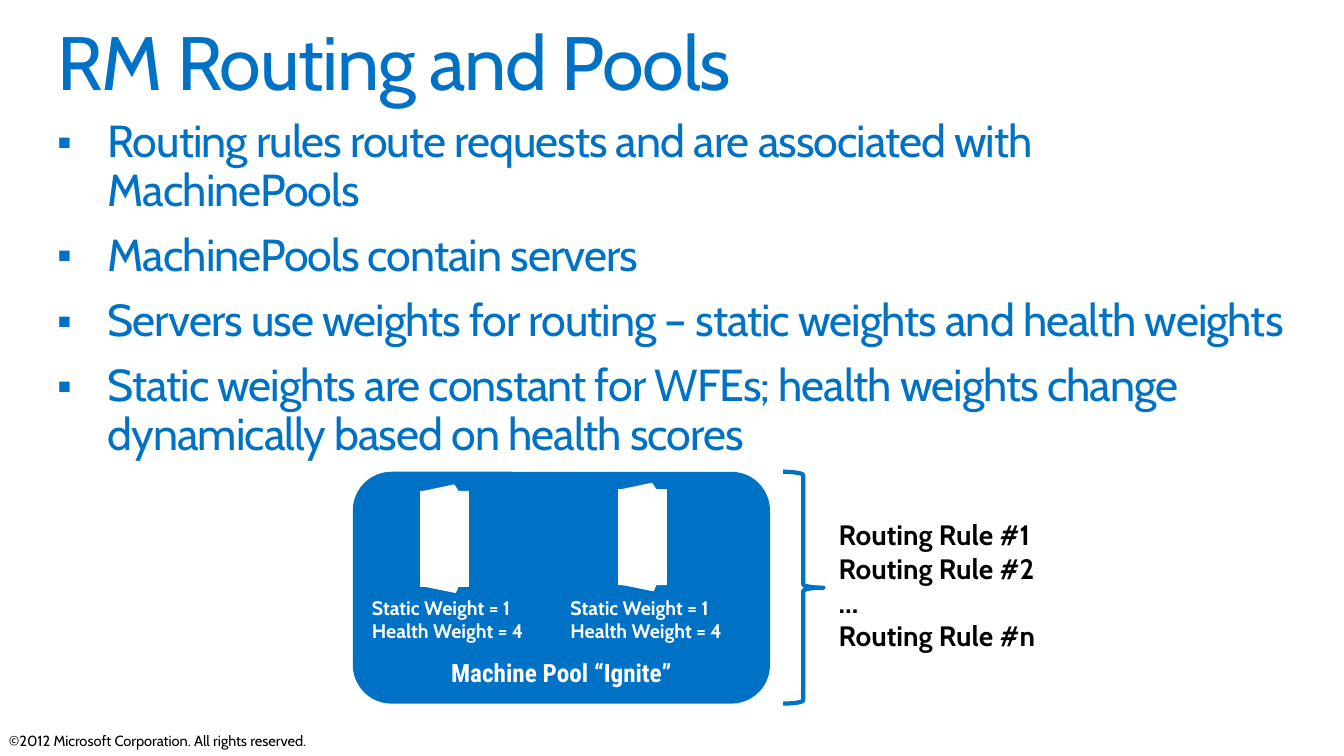
from dataclasses import dataclass

from lxml import etree
from pptx import Presentation
from pptx import util as u
from pptx.dml import color
from pptx.enum import shapes, text
from pptx.oxml import ns

BLUE, WHITE, BLACK = "0072C6", "FFFFFF", "000000"
Shape = shapes.MSO_SHAPE
Anchor = text.MSO_ANCHOR


@dataclass(frozen=True)
class Box:
    left: float
    top: float
    width: float
    height: float

    def lengths(self) -> list:
        return [u.Pt(value) for value in (self.left, self.top, self.width, self.height)]


@dataclass(frozen=True)
class Style:
    size: float
    colour: str
    bold: bool = False
    font: str = "Cabin"
    tracking: int = 0


@dataclass(frozen=True)
class Server:
    left: float
    top: float
    label_left: float


@dataclass(frozen=True)
class ServerPart:
    kind: Shape
    box: Box
    adjustments: tuple
    rotation: float = 0


SERVER_PARTS = (
    ServerPart(Shape.SNIP_2_DIAG_RECTANGLE, Box(0, 0, 34.8, 68.6), (0, 0)),
    ServerPart(Shape.ISOSCELES_TRIANGLE, Box(0.7, -4.6, 26.9, 5), (0.877,)),
    ServerPart(Shape.ISOSCELES_TRIANGLE, Box(0.7, 68, 26.9, 5), (0.083,), 180),
)
SERVERS = (Server(300.2, 350.6, 265.7), Server(441.5, 349.4, 407.5))
BULLETS = (
    "Routing rules route requests and are associated with MachinePools",
    "MachinePools contain servers",
    "Servers use weights for routing – static weights and health weights",
    "Static weights are constant for WFEs; health weights change dynamically based on health scores",
)


def rgb(value: str) -> color.RGBColor:
    return color.RGBColor.from_string(value)


def place(shape, box: Box) -> None:
    shape.left, shape.top, shape.width, shape.height = box.lengths()


def write(shape, lines: tuple, style: Style, insets: tuple = (0, 0, 0, 0),
          anchor: Anchor = Anchor.TOP, wrap: bool = True) -> None:
    frame = shape.text_frame
    frame.text = "\n".join(lines)
    frame.word_wrap = wrap
    frame.auto_size = text.MSO_AUTO_SIZE.NONE
    frame.vertical_anchor = anchor
    (frame.margin_left, frame.margin_top,
     frame.margin_right, frame.margin_bottom) = [u.Pt(inset) for inset in insets]
    for paragraph in frame.paragraphs:
        paragraph.alignment = text.PP_ALIGN.LEFT
        for run in paragraph.runs:
            run.font.size = u.Pt(style.size)
            run.font.name = style.font
            run.font.bold = style.bold
            run.font.color.rgb = rgb(style.colour)
            if style.tracking:
                run._r.get_or_add_rPr().set("spc", str(style.tracking))


def add_text(slide, box: Box, lines: tuple, style: Style, **options) -> None:
    write(slide.shapes.add_textbox(*box.lengths()), lines, style, **options)


def add_filled(parent, kind: Shape, box: Box, fill: str):
    shape = parent.shapes.add_shape(kind, *box.lengths())
    shape.shadow.inherit = False
    shape.fill.solid()
    shape.fill.fore_color.rgb = rgb(fill)
    shape.line.fill.background()
    return shape


def add_bullet(paragraph) -> None:
    properties = paragraph._p.get_or_add_pPr()
    properties.set("marL", str(u.Pt(36)))
    properties.set("indent", str(u.Pt(-36)))
    for tag, name, value in (("a:buSzPct", "val", "80000"),
                             ("a:buFont", "typeface", "Cabin"),
                             ("a:buChar", "char", "▪")):
        etree.SubElement(properties, ns.qn(tag)).set(name, value)


def fill_placeholders(slide) -> None:
    title, body = slide.shapes.title, slide.placeholders[1]
    place(title, Box(41, 18, 877.7, 59))
    write(title, ("RM Routing and Pools",), Style(54, BLUE, tracking=-100))
    title.text_frame.paragraphs[0].line_spacing = 0.9
    place(body, Box(41, 85, 877.7, 241.2))
    write(body, BULLETS, Style(32, BLUE, tracking=-70))
    for index, paragraph in enumerate(body.text_frame.paragraphs):
        paragraph.line_spacing = 0.9
        paragraph.space_before = u.Pt(12 if index else 0)
        add_bullet(paragraph)


def add_server(slide, server: Server) -> None:
    group = slide.shapes.add_group_shape()
    for part in SERVER_PARTS:
        box = Box(server.left + part.box.left, server.top + part.box.top,
                  part.box.width, part.box.height)
        shape = add_filled(group, part.kind, box, WHITE)
        shape.rotation = part.rotation
        for index, value in enumerate(part.adjustments):
            shape.adjustments[index] = value
    add_text(slide, Box(server.label_left, 425.5, 141.8, 43.9),
             ("Static Weight = 1", "Health Weight = 4"), Style(14, WHITE, True))


def add_pool(slide) -> None:
    pool = add_filled(slide, Shape.ROUNDED_RECTANGLE, Box(252, 337, 298, 165.6), BLUE)
    write(pool, ("Machine Pool “Ignite”",), Style(18, WHITE, True, "Roboto Condensed"),
          insets=(14.4, 14.4, 14.4, 3.6), anchor=Anchor.BOTTOM)
    pool.text_frame.paragraphs[0].alignment = text.PP_ALIGN.CENTER
    for server in SERVERS:
        add_server(slide, server)


def add_rules(slide) -> None:
    brace = slide.shapes.add_shape(Shape.RIGHT_BRACE, *Box(559.4, 337, 28.8, 165.6).lengths())
    brace.shadow.inherit = False
    brace.fill.background()
    brace.line.color.rgb = rgb(BLUE)
    brace.line.width = u.Pt(3)
    rules = ("Routing Rule #1", "Routing Rule #2", "…", "Routing Rule #n")
    add_text(slide, Box(599, 370, 218.2, 100), rules, Style(20, BLACK, True), wrap=False)


def main() -> None:
    presentation = Presentation()
    presentation.slide_width, presentation.slide_height = u.Pt(960), u.Pt(540)
    slide = presentation.slides.add_slide(presentation.slide_layouts[1])
    slide.background.fill.solid()
    slide.background.fill.fore_color.rgb = rgb(WHITE)
    add_text(slide, Box(-0.7, 519, 960.5, 20.2),
             ("©2012 Microsoft Corporation. All rights reserved.",),
             Style(10.5, BLACK), insets=(7.2, 3.6, 7.2, 3.6))
    fill_placeholders(slide)
    add_pool(slide)
    add_rules(slide)
    presentation.save("out.pptx")


if __name__ == "__main__":
    main()
